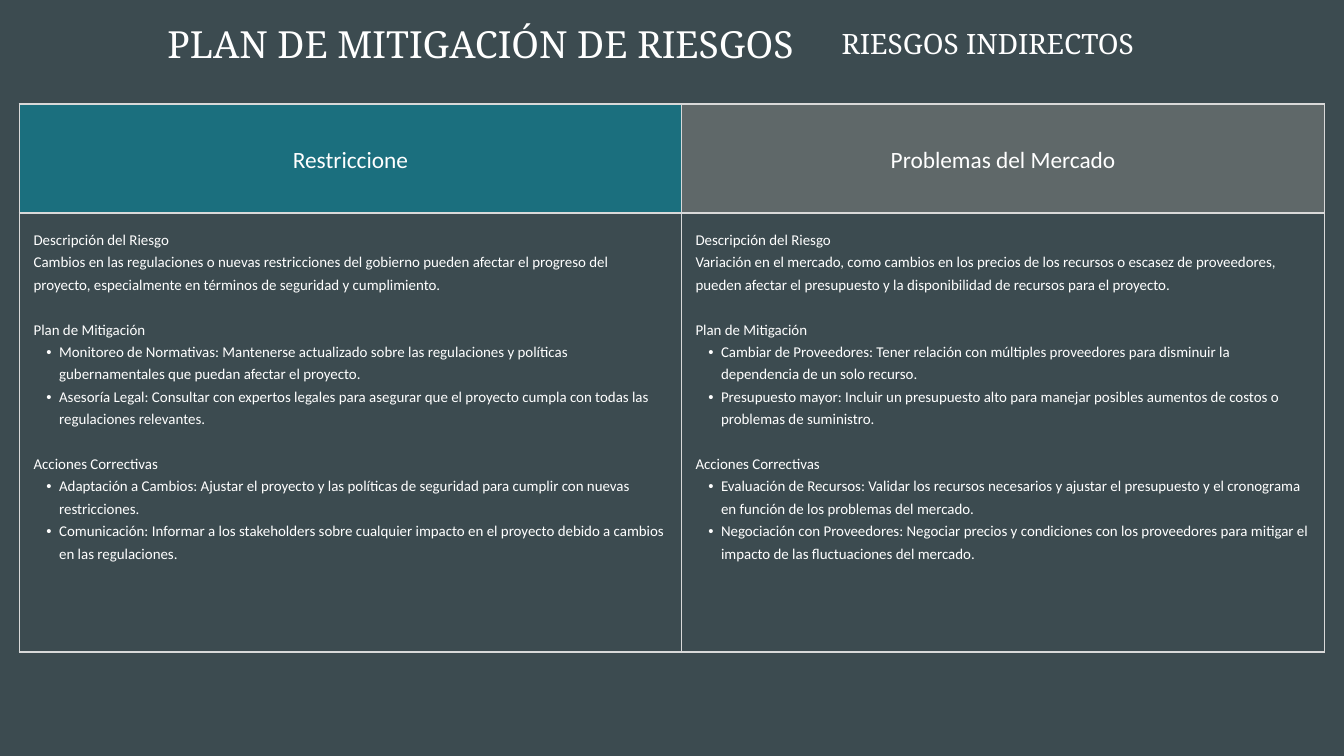
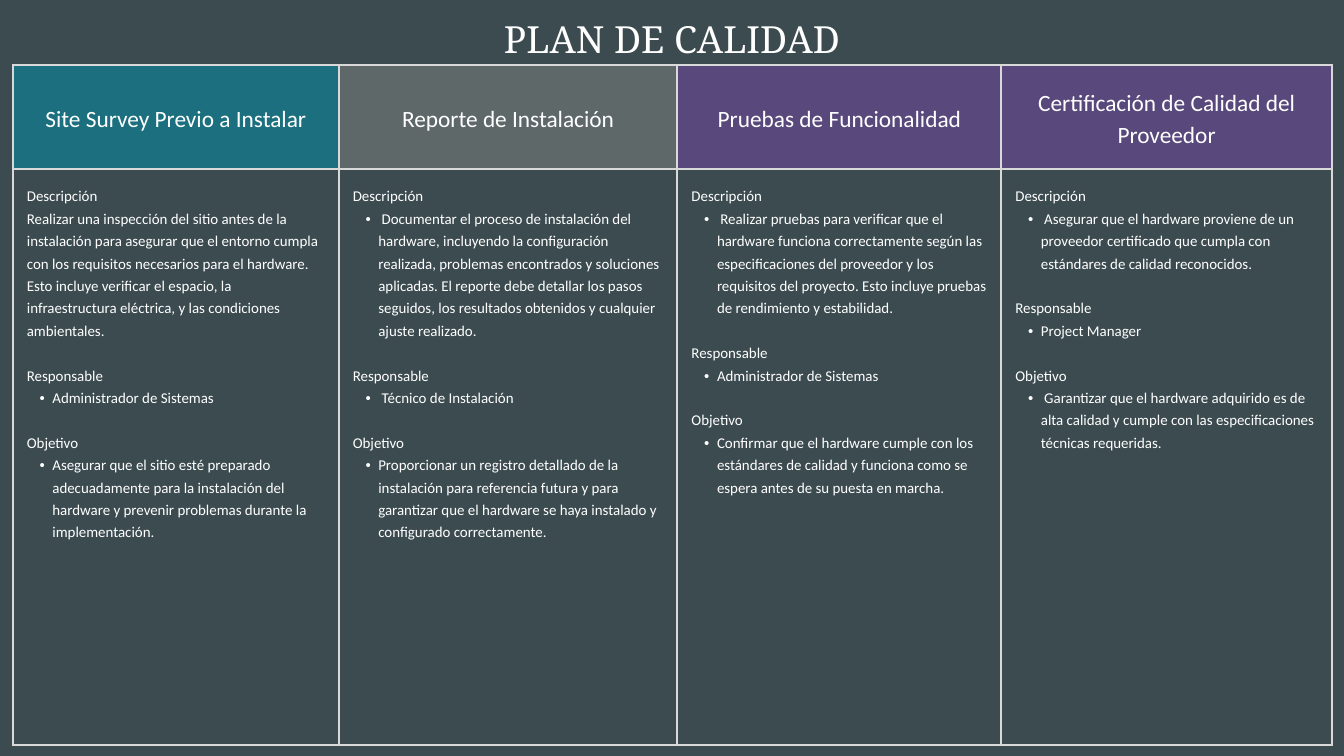
from dataclasses import dataclass

from lxml import etree
from pptx import Presentation
from pptx.dml.color import RGBColor
from pptx.enum.text import MSO_ANCHOR, MSO_AUTO_SIZE, PP_ALIGN
from pptx.oxml.ns import qn
from pptx.util import Inches, Pt

# Shared look
SLATE = RGBColor(0x3C, 0x4B, 0x50)
TEAL = RGBColor(0x1B, 0x6F, 0x7E)
GRAY = RGBColor(0x5F, 0x68, 0x69)
PURPLE = RGBColor(0x59, 0x48, 0x7C)
WHITE = RGBColor(0xFF, 0xFF, 0xFF)
BORDER = RGBColor(0xD9, 0xD9, 0xD9)
BORDER_WIDTH = Pt(2.25)
CENTER, LEFT = PP_ALIGN.CENTER, PP_ALIGN.LEFT
TOP, MIDDLE = MSO_ANCHOR.TOP, MSO_ANCHOR.MIDDLE
FIT_SHAPE = MSO_AUTO_SIZE.SHAPE_TO_FIT_TEXT
TITLE_ONLY = 5
CELL_INSET = Inches(0.21)
BULLET_INDENT = Inches(0.38)
BULLET_HANG = Inches(-0.19)
MARGINS = ("margin_left", "margin_top", "margin_right", "margin_bottom")


@dataclass(frozen=True)
class TextStyle:
    font: str
    size: float
    leading: float
    align: PP_ALIGN


TITLE = TextStyle("Noto Serif", 40, 56, CENTER)
SUBTITLE = TextStyle("Noto Serif", 30, 42, CENTER)
HEADER = TextStyle("Calibri", 25, 35, CENTER)
BODY = TextStyle("Calibri", 16, 24, LEFT)


@dataclass(frozen=True)
class Box:
    left: float
    top: float
    width: float
    height: float


@dataclass(frozen=True)
class Section:
    heading: str
    items: tuple[str, ...]
    bulleted: bool = True


@dataclass(frozen=True)
class Column:
    header: str
    color: RGBColor
    width: float
    sections: tuple[Section, ...]


@dataclass(frozen=True)
class Plan:
    title: str
    title_box: Box
    left: float
    top: float
    row_heights: tuple[float, float]
    columns: tuple[Column, ...]
    subtitle: str = ""
    subtitle_box: Box | None = None


def risk_sections(description: str, mitigation: tuple[str, ...],
                  corrections: tuple[str, ...]) -> tuple[Section, ...]:
    return (Section("Descripción del Riesgo", (description,), bulleted=False),
            Section("Plan de Mitigación", mitigation),
            Section("Acciones Correctivas", corrections))


def quality_sections(description: str, owner: str, goal: str,
                     bulleted: bool = True) -> tuple[Section, ...]:
    return (Section("Descripción", (description,), bulleted),
            Section("Responsable", (owner,)),
            Section("Objetivo", (goal,)))


# Content
RISKS = Plan(
    "PLAN DE MITIGACIÓN DE RIESGOS", Box(2.08, 0.2, 10.14, 0.74),
    0.29, 1.55, (1.62, 6.53),
    (
        Column("Restriccione", TEAL, 9.85, risk_sections(
            "Cambios en las regulaciones o nuevas restricciones del gobierno pueden afectar "
            "el progreso del proyecto, especialmente en términos de seguridad y cumplimiento.",
            ("Monitoreo de Normativas: Mantenerse actualizado sobre las regulaciones y "
             "políticas gubernamentales que puedan afectar el proyecto.",
             "Asesoría Legal: Consultar con expertos legales para asegurar que el proyecto "
             "cumpla con todas las regulaciones relevantes."),
            ("Adaptación a Cambios: Ajustar el proyecto y las políticas de seguridad para "
             "cumplir con nuevas restricciones.",
             "Comunicación: Informar a los stakeholders sobre cualquier impacto en el "
             "proyecto debido a cambios en las regulaciones."))),
        Column("Problemas del Mercado", GRAY, 9.57, risk_sections(
            "Variación en el mercado, como cambios en los precios de los recursos o escasez "
            "de proveedores, pueden afectar el presupuesto y la disponibilidad de recursos "
            "para el proyecto.",
            ("Cambiar de Proveedores: Tener relación con múltiples proveedores para "
             "disminuir la dependencia de un solo recurso.",
             "Presupuesto mayor: Incluir un presupuesto alto para manejar posibles aumentos "
             "de costos o problemas de suministro."),
            ("Evaluación de Recursos: Validar los recursos necesarios y ajustar el "
             "presupuesto y el cronograma en función de los problemas del mercado.",
             "Negociación con Proveedores: Negociar precios y condiciones con los "
             "proveedores para mitigar el impacto de las fluctuaciones del mercado."))),
    ),
    "RIESGOS INDIRECTOS", Box(12.22, 0.31, 4.96, 0.56),
)

QUALITY = Plan(
    "PLAN DE CALIDAD", Box(4.93, 0.13, 10.14, 0.74),
    0.19, 0.97, (1.55, 8.57),
    (
        Column("Site Survey Previo a Instalar", TEAL, 4.85, quality_sections(
            "Realizar una inspección del sitio antes de la instalación para asegurar que el "
            "entorno cumpla con los requisitos necesarios para el hardware. Esto incluye "
            "verificar el espacio, la infraestructura eléctrica, y las condiciones "
            "ambientales.",
            "Administrador de Sistemas",
            "Asegurar que el sitio esté preparado adecuadamente para la instalación del "
            "hardware y prevenir problemas durante la implementación.",
            bulleted=False)),
        Column("Reporte de Instalación", GRAY, 5.04, quality_sections(
            " Documentar el proceso de instalación del hardware, incluyendo la configuración "
            "realizada, problemas encontrados y soluciones aplicadas. El reporte debe "
            "detallar los pasos seguidos, los resultados obtenidos y cualquier ajuste "
            "realizado.",
            " Técnico de Instalación",
            "Proporcionar un registro detallado de la instalación para referencia futura y "
            "para garantizar que el hardware se haya instalado y configurado "
            "correctamente.")),
        Column("Pruebas de Funcionalidad", PURPLE, 4.82, quality_sections(
            " Realizar pruebas para verificar que el hardware funciona correctamente según "
            "las especificaciones del proveedor y los requisitos del proyecto. Esto incluye "
            "pruebas de rendimiento y estabilidad.",
            "Administrador de Sistemas",
            "Confirmar que el hardware cumple con los estándares de calidad y funciona como "
            "se espera antes de su puesta en marcha.")),
        Column("Certificación de Calidad del Proveedor", PURPLE, 4.92, quality_sections(
            " Asegurar que el hardware proviene de un proveedor certificado que cumpla con "
            "estándares de calidad reconocidos.",
            "Project Manager",
            " Garantizar que el hardware adquirido es de alta calidad y cumple con las "
            "especificaciones técnicas requeridas.")),
    ),
)


# Text
def apply(target, values: dict) -> None:
    for name, value in values.items():
        setattr(target, name, value)


def write(paragraph, text: str, style: TextStyle, gap: float = 0) -> None:
    apply(paragraph, {"alignment": style.align, "line_spacing": Pt(style.leading),
                      "space_before": Pt(gap)})
    run = paragraph.add_run()
    run.text = text
    apply(run.font, {"name": style.font, "size": Pt(style.size), "bold": False})
    run.font.color.rgb = WHITE


def add_bullet(paragraph) -> None:
    paragraph.level = 1
    properties = paragraph._p.get_or_add_pPr()
    properties.set("marL", str(BULLET_INDENT))
    properties.set("indent", str(BULLET_HANG))
    etree.SubElement(properties, qn("a:buFont"), typeface="Arial")
    etree.SubElement(properties, qn("a:buChar"), char="•")


def write_heading(shape, text: str, box: Box, style: TextStyle) -> None:
    apply(shape, {"left": Inches(box.left), "top": Inches(box.top),
                  "width": Inches(box.width), "height": Inches(box.height)})
    frame = shape.text_frame
    apply(frame, dict.fromkeys(MARGINS, 0))
    apply(frame, {"word_wrap": True, "vertical_anchor": TOP, "auto_size": FIT_SHAPE})
    write(frame.paragraphs[0], text, style)


# Table
def format_cell(cell, anchor: MSO_ANCHOR) -> None:
    apply(cell, dict.fromkeys(MARGINS, CELL_INSET))
    cell.vertical_anchor = anchor
    properties = cell._tc.get_or_add_tcPr()
    for side in ("a:lnL", "a:lnR", "a:lnT", "a:lnB"):
        line = etree.SubElement(properties, qn(side), w=str(BORDER_WIDTH))
        fill = etree.SubElement(line, qn("a:solidFill"))
        etree.SubElement(fill, qn("a:srgbClr"), val=str(BORDER))


def write_sections(frame, sections: tuple[Section, ...]) -> None:
    for number, section in enumerate(sections):
        heading = frame.add_paragraph() if number else frame.paragraphs[0]
        write(heading, section.heading, BODY, gap=BODY.leading if number else 0)
        for item in section.items:
            paragraph = frame.add_paragraph()
            write(paragraph, item, BODY)
            if section.bulleted:
                add_bullet(paragraph)


def add_plan_table(slide, plan: Plan) -> None:
    width = sum(column.width for column in plan.columns)
    table = slide.shapes.add_table(
        len(plan.row_heights), len(plan.columns), Inches(plan.left), Inches(plan.top),
        Inches(width), Inches(sum(plan.row_heights))).table
    apply(table, {"first_row": False, "horz_banding": False})
    for row, height in zip(table.rows, plan.row_heights):
        row.height = Inches(height)
    for index, column in enumerate(plan.columns):
        table.columns[index].width = Inches(column.width)
        header, body = table.cell(0, index), table.cell(1, index)
        format_cell(header, MIDDLE)
        header.fill.solid()
        header.fill.fore_color.rgb = column.color
        write(header.text_frame.paragraphs[0], column.header, HEADER)
        format_cell(body, TOP)
        body.fill.background()
        write_sections(body.text_frame, column.sections)


# Slides
def add_plan_slide(deck, plan: Plan) -> None:
    slide = deck.slides.add_slide(deck.slide_layouts[TITLE_ONLY])
    write_heading(slide.shapes.title, plan.title, plan.title_box, TITLE)
    add_plan_table(slide, plan)
    if plan.subtitle_box:
        subtitle = slide.shapes.add_textbox(0, 0, 0, 0)
        write_heading(subtitle, plan.subtitle, plan.subtitle_box, SUBTITLE)


def main() -> None:
    deck = Presentation()
    apply(deck, {"slide_width": Inches(20), "slide_height": Inches(11.25)})
    background = deck.slide_master.background.fill
    background.solid()
    background.fore_color.rgb = SLATE
    for plan in (RISKS, QUALITY):
        add_plan_slide(deck, plan)
    deck.save("out.pptx")


if __name__ == "__main__":
    main()
